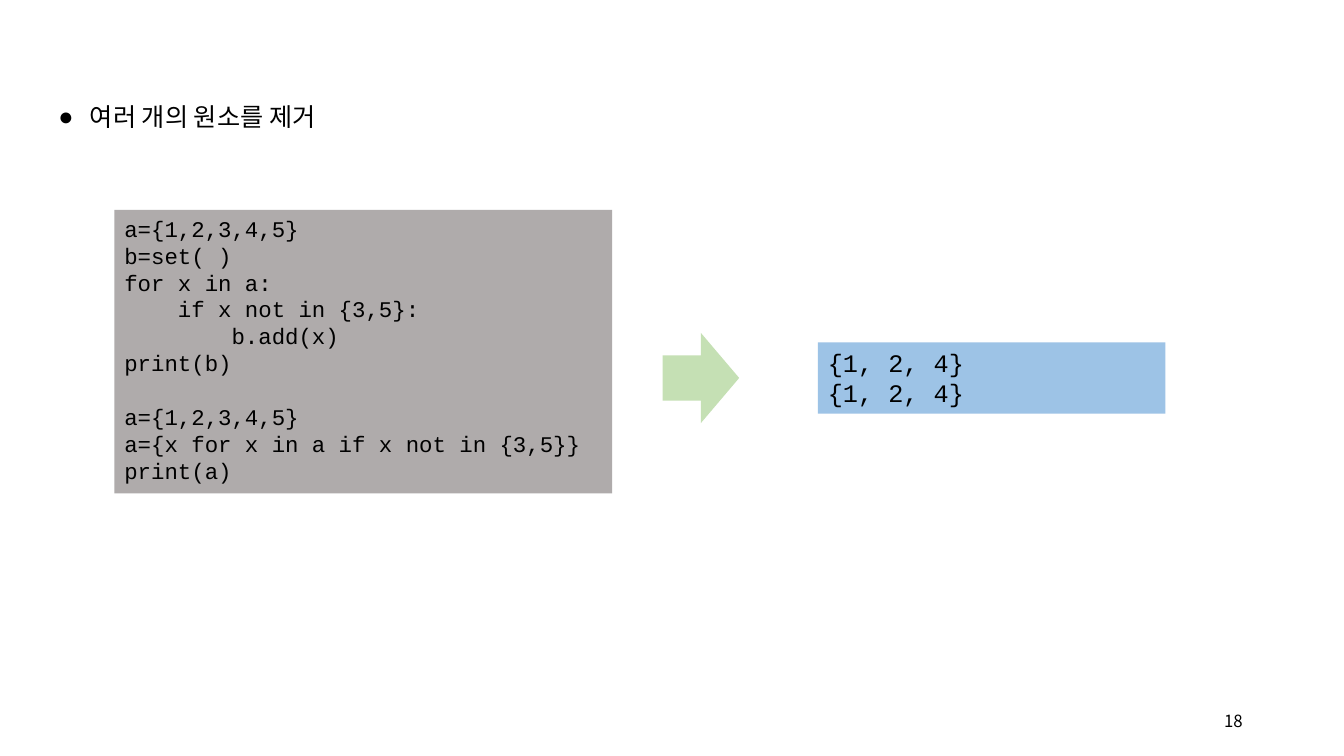
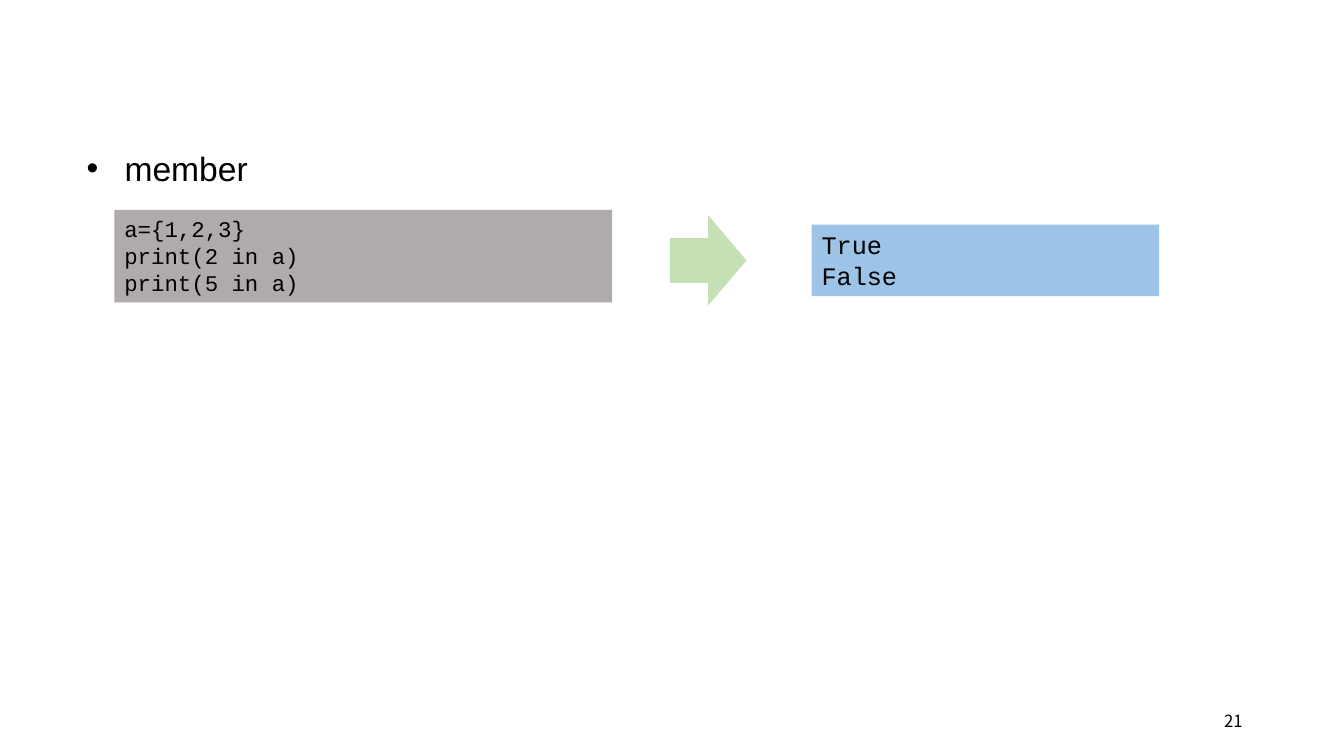
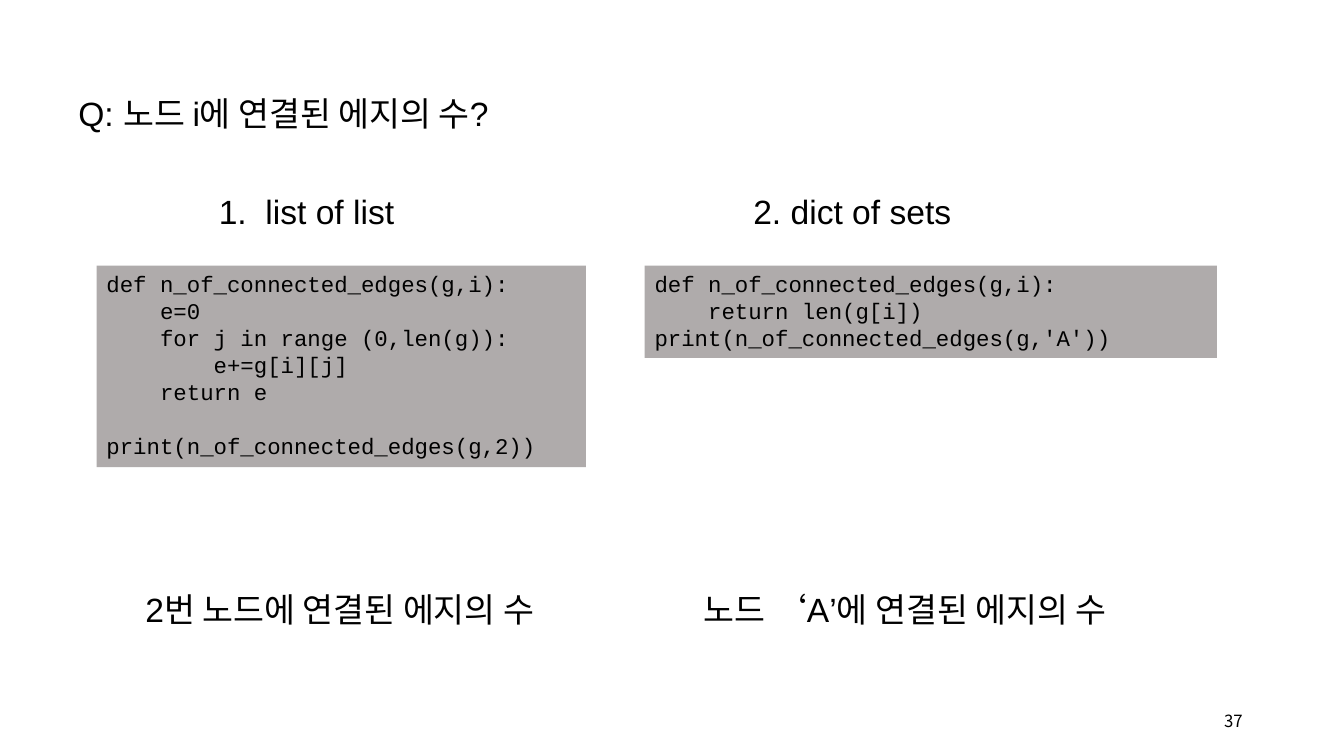
"""Build three slides on Python sets: code, output and page numbers."""
from lxml.etree import SubElement
from pptx import Presentation
from pptx.dml.color import RGBColor
from pptx.enum.shapes import MSO_SHAPE as Geo
from pptx.enum.text import MSO_ANCHOR as Anchor, MSO_AUTO_SIZE as Fit, PP_ALIGN as Align
from pptx.oxml.ns import qn
from pptx.util import Pt

PX = 9525
INK = {"text": "000000", "code": "AFABAB", "out": "9DC3E6", "arrow": "C5E0B4"}
SANS, MONO, HANGUL = "Arial", "Courier New", "Noto Sans CJK KR"

deck = Presentation()
deck.slide_width, deck.slide_height = 1280 * PX, 720 * PX


def write(shape, text, size, font, wrap=True, space=None, mark=None, indent=0):
    frame = shape.text_frame
    frame.text = text
    frame.word_wrap = wrap
    frame.auto_size = Fit.SHAPE_TO_FIT_TEXT
    frame.vertical_anchor = Anchor.TOP
    for par in frame.paragraphs:
        if mark:
            props = par._p.get_or_add_pPr()
            props.set("marL", str(indent * PX))
            props.set("indent", str(-indent * PX))
            SubElement(props, qn("a:buFont"), typeface=SANS)
            SubElement(props, qn("a:buChar"), char=mark)
        par.alignment = Align.LEFT
        if space:
            par.line_spacing = space
        if not par.runs:
            SubElement(par._p, qn("a:endParaRPr"), sz=str(size * 100))
        for run in par.runs:
            run.font.size = Pt(size)
            run.font.name = font
            run.font.color.rgb = RGBColor.from_string(INK["text"])
            SubElement(run._r.get_or_add_rPr(), qn("a:ea"), typeface=HANGUL)


def block(slide, geo, tone, *area):
    shape = slide.shapes.add_shape(geo, *[n * PX for n in area])
    shape.shadow.inherit = False
    shape.fill.solid()
    shape.fill.fore_color.rgb = RGBColor.from_string(INK[tone])
    shape.line.fill.background()
    return shape


FILTER = """a={1,2,3,4,5}
b=set( )
for x in a:
    if x not in {3,5}:
        b.add(x)
print(b)

a={1,2,3,4,5}
a={x for x in a if x not in {3,5}}
print(a)"""
MEMBER = """a={1,2,3}
print(2 in a)
print(5 in a)"""
LISTS = """def n_of_connected_edges(g,i):
    e=0
    for j in range (0,len(g)):
        e+=g[i][j]
    return e

print(n_of_connected_edges(g,2))"""
SETS = """def n_of_connected_edges(g,i):
    return len(g[i])
print(n_of_connected_edges(g,'A'))"""

pages = [
    dict(page="18", title="여러 개의 원소를 제거", area=(46, 92, 816, 38),
         style=dict(size=18, mark="●", indent=30),
         codes=[(109, 200, 474, FILTER)],
         result=("{1, 2, 4}\n{1, 2, 4}", 779, 631, 360), notes=[]),
    dict(page="21", title="member", area=(73, 117, 175, 60),
         style=dict(size=24, wrap=False, space=1.5, mark="•", indent=36),
         codes=[(109, 200, 474, MEMBER)],
         result=("True\nFalse", 773, 638, 248), notes=[]),
    dict(page="37", title="Q: 노드 i에 연결된 에지의 수?", area=(65, 64, 446, 68),
         style=dict(size=24, wrap=False, space=1.5),
         codes=[(92, 253, 466, LISTS), (614, 253, 545, SETS)],
         result=None,
         notes=[(199, 158, 188, "1.  list of list"),
                (708, 158, 209, "2. dict of sets"),
                (129, 537, 428, "2번 노드에 연결된 에지의 수"),
                (661, 537, 413, "노드 ‘A’에 연결된 에지의 수")]),
]

for item in pages:
    slide = deck.slides.add_slide(deck.slide_layouts[5])
    title = slide.shapes.title
    title.left, title.top, title.width, title.height = [n * PX for n in item["area"]]
    write(title, item["title"], font=SANS, **item["style"])

    for left, top, width, code in item["codes"]:
        tall = 10 + 26 * len(code.split("\n"))
        box = block(slide, Geo.RECTANGLE, "code", left, top, width, tall)
        write(box, code, 16, MONO)

    if item["result"]:
        text, left, tip, mid = item["result"]
        block(slide, Geo.RIGHT_ARROW, "arrow", tip, mid - 43, 73, 86)
        box = block(slide, Geo.RECTANGLE, "out", left, mid - 34, 331, 68)
        write(box, text, 18, MONO)

    for left, top, width, text in item["notes"]:
        note = slide.shapes.add_textbox(left * PX, top * PX, width * PX, 68 * PX)
        write(note, text, 24, SANS, wrap=False, space=1.5)

    foot = slide.shapes.add_textbox(1140 * PX, 667 * PX, 53 * PX, 38 * PX)
    write(foot, item["page"], 12, HANGUL)
    foot.text_frame.auto_size = Fit.NONE
    foot.text_frame.vertical_anchor = Anchor.MIDDLE
    foot.text_frame.paragraphs[0].alignment = Align.RIGHT

deck.save("out.pptx")
